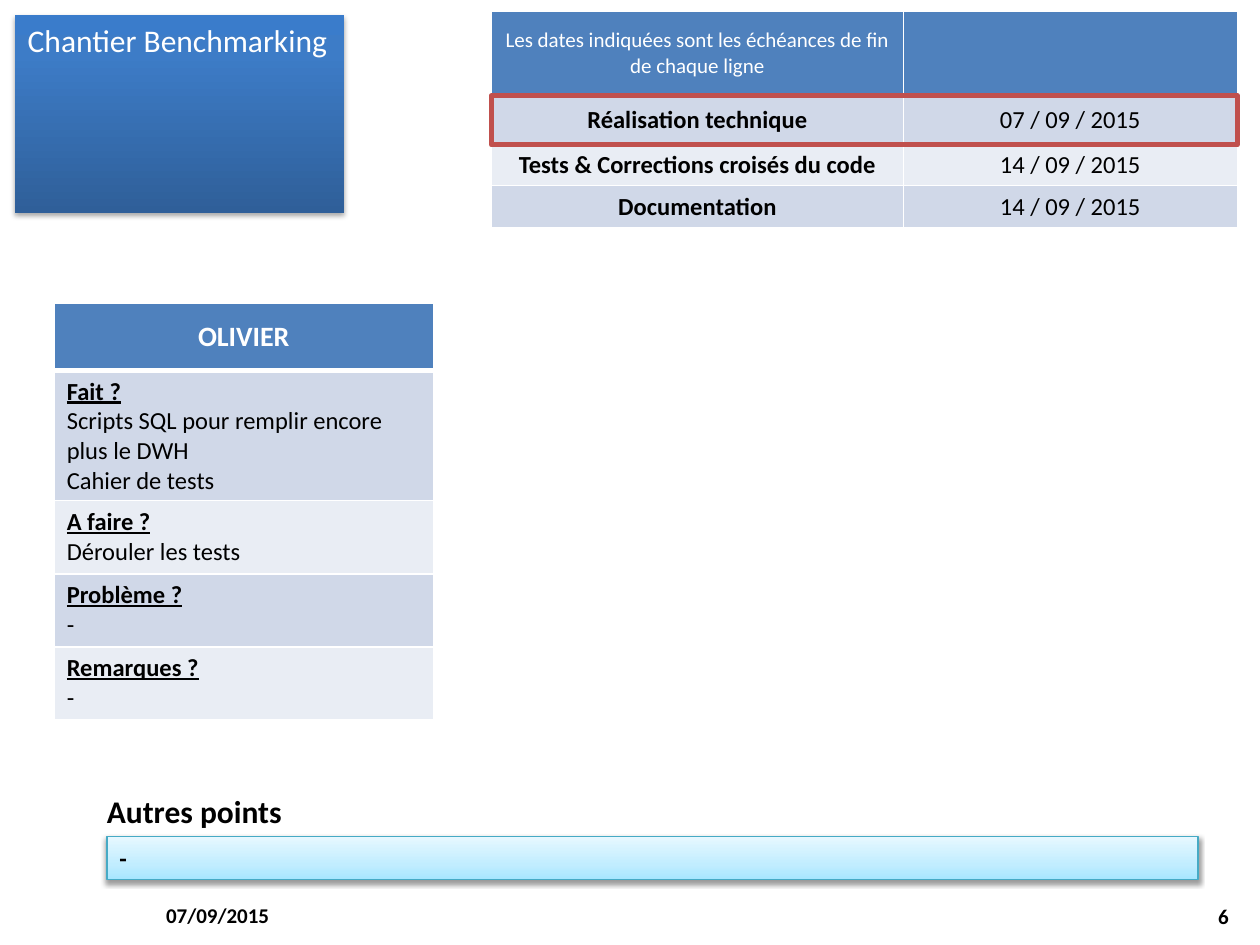
import pptx
import pptx.dml.color
import pptx.enum.shapes
import pptx.enum.text
import pptx.oxml
import pptx.oxml.ns
import pptx.util

Inches = pptx.util.Inches
Pt = pptx.util.Pt
RGBColor = pptx.dml.color.RGBColor
ALIGN = pptx.enum.text.PP_ALIGN
ANCHOR = pptx.enum.text.MSO_ANCHOR
GROW = pptx.enum.text.MSO_AUTO_SIZE.SHAPE_TO_FIT_TEXT

BLACK = RGBColor(0x00, 0x00, 0x00)
WHITE = RGBColor(0xFF, 0xFF, 0xFF)
HEADER = RGBColor(0x4F, 0x81, 0xBD)
BANDS = (RGBColor(0xD0, 0xD8, 0xE8), RGBColor(0xE9, 0xED, 0xF4))
RED = RGBColor(0xC0, 0x50, 0x4D)
TEAL = RGBColor(0x46, 0xAA, 0xC5)
BLUE_STOPS = ((0, RGBColor(0x2F, 0x5F, 0x99)), (80, RGBColor(0x3D, 0x7C, 0xC7)),
              (100, RGBColor(0x3A, 0x7C, 0xCB)))
CYAN_STOPS = ((0, RGBColor(0xA7, 0xE6, 0xFF)), (35, RGBColor(0xC1, 0xED, 0xFF)),
              (100, RGBColor(0xE7, 0xF8, 0xFF)))


def element(xml):
    """Parse one DrawingML element whose root tag has no namespace yet."""
    head, rest = xml.split(" ", 1)
    return pptx.oxml.parse_xml(f"{head} {pptx.oxml.ns.nsdecls('a')} {rest}")


def write(tf, text, size=14, color=BLACK, bold=False, underline=False,
          align=ALIGN.LEFT, font="Calibri", space=0):
    """Add one paragraph, using the first one while it is still empty."""
    p = tf.paragraphs[0] if not tf.text else tf.add_paragraph()
    p.alignment = align
    if space:
        p.space_after = Pt(space)
    r = p.add_run()
    r.text = text
    r.font.name, r.font.size = font, Pt(size)
    r.font.bold, r.font.underline = bold, underline
    r.font.color.rgb = color


class StatusSlide:
    def __init__(self, prs):
        self.s = prs.slides.add_slide(prs.slide_layouts[5])

    def gradient(self, sp, stops, opacity, blur=3.1, dist=1.7):
        """Upward gradient with a soft shadow below."""
        sp.fill.gradient()
        sp.fill.gradient_angle = 90
        gs_lst = sp.fill._fill._gradFill.find(pptx.oxml.ns.qn("a:gsLst"))
        for gs in list(gs_lst):
            gs_lst.remove(gs)
        for pos, color in stops:
            gs_lst.append(element(
                f'<a:gs pos="{pos * 1000}"><a:srgbClr val="{color}"/></a:gs>'))
        sp._element.spPr.append(element(
            f'<a:effectLst ><a:outerShdw blurRad="{Pt(blur)}" dist="{Pt(dist)}" '
            f'dir="5400000" rotWithShape="0"><a:srgbClr val="000000">'
            f'<a:alpha val="{opacity * 1000}"/></a:srgbClr></a:outerShdw></a:effectLst>'))

    def title(self, text, left, top, width, height):
        sp = self.s.shapes.title
        sp.left, sp.top, sp.width, sp.height = map(Inches, (left, top, width, height))
        self.gradient(sp, BLUE_STOPS, 35)
        tf = sp.text_frame
        tf.word_wrap, tf.auto_size = False, GROW
        tf.vertical_anchor = ANCHOR.TOP
        write(tf, text, size=18, color=WHITE)

    def label(self, text, left, top, width, height, anchor=ANCHOR.MIDDLE, wrap=True, **fmt):
        box = self.s.shapes.add_textbox(*map(Inches, (left, top, width, height)))
        tf = box.text_frame
        tf.word_wrap, tf.vertical_anchor = wrap, anchor
        write(tf, text, bold=True, **fmt)

    def rect(self, left, top, width, height, line, weight):
        sp = self.s.shapes.add_shape(pptx.enum.shapes.MSO_SHAPE.RECTANGLE,
                                     *map(Inches, (left, top, width, height)))
        sp.line.color.rgb, sp.line.width = line, Pt(weight)
        return sp

    def note(self, text, *at):
        sp = self.rect(*at, TEAL, 0.75)
        self.gradient(sp, CYAN_STOPS, 38)
        tf = sp.text_frame
        tf.word_wrap, tf.auto_size = True, GROW
        tf.vertical_anchor = ANCHOR.TOP
        write(tf, text, bold=True)

    def highlight(self, *at):
        sp = self.rect(*at, RED, 3)
        sp.fill.background()
        sp.shadow.inherit = False

    def table(self, left, top, cols, rows):
        size = map(Inches, (left, top, sum(cols), sum(rows)))
        table = self.s.shapes.add_table(len(rows), len(cols), *size).table
        for col, width in zip(table.columns, cols):
            col.width = Inches(width)
        for i, height in enumerate(rows):
            table.rows[i].height = Inches(height)
            for cell in table.rows[i].cells:
                self.cell_style(cell, i)
        return table

    def cell_style(self, cell, row):
        """White borders, thicker under the header, and banded fills."""
        tc_pr = cell._tc.get_or_add_tcPr()
        thick = {0: "B", 1: "T"}.get(row)
        for side in "LRTB":
            width = Pt(3 if side == thick else 1)
            tc_pr.append(element(
                f'<a:ln{side} w="{width}"><a:solidFill><a:srgbClr val="{WHITE}"/>'
                f'</a:solidFill></a:ln{side}>'))
        cell.fill.solid()
        cell.fill.fore_color.rgb = BANDS[(row - 1) % 2] if row else HEADER
        cell.vertical_anchor = ANCHOR.MIDDLE


def main():
    prs = pptx.Presentation()
    prs.slide_width, prs.slide_height = Inches(10), Inches(7.5)
    slide = StatusSlide(prs)

    # Footer and title
    slide.label("07/09/2015", 1.22, 7.06, 2.33, 0.4, size=12)
    slide.label("6", 7.52, 7.07, 2.33, 0.4, size=12, align=ALIGN.RIGHT)
    slide.title("Chantier Benchmarking", 0.12, 0.12, 2.61, 0.4)

    # Personal status
    sections = (
        ("Fait ?", "Scripts SQL pour remplir encore plus le DWH", "Cahier de tests"),
        ("A faire ?", "Dérouler les tests"),
        ("Problème ?", "-"),
        ("Remarques ?", "-"),
    )
    table = slide.table(0.43, 2.41, [3.01], [0.53, 1.03] + [0.58] * 3)
    write(table.cell(0, 0).text_frame, "OLIVIER", size=16, color=WHITE,
          bold=True, align=ALIGN.CENTER)
    for i, (heading, *items) in enumerate(sections, 1):
        cell = table.cell(i, 0)
        cell.vertical_anchor = ANCHOR.TOP
        write(cell.text_frame, heading, bold=True, underline=True)
        for item in items:
            write(cell.text_frame, item)

    # Other points
    slide.note("-", 0.85, 6.64, 8.66, 0.34)
    slide.label("Autres points", 0.75, 6.24, 1.6, 0.4, anchor=ANCHOR.TOP,
                wrap=False, size=18, space=3)

    # Deadlines, with the current step framed
    deadlines = (
        ("Réalisation technique", "07 / 09 / 2015"),
        ("Tests & Corrections croisés du code", "14 / 09 / 2015"),
        ("Documentation", "14 / 09 / 2015"),
    )
    table = slide.table(3.9, 0.09, [3.27, 2.65], [0.67, 0.38, 0.33, 0.33])
    write(table.cell(0, 0).text_frame,
          "Les dates indiquées sont les échéances de fin de chaque ligne",
          size=12, color=WHITE, align=ALIGN.CENTER)
    for i, (step, date) in enumerate(deadlines, 1):
        write(table.cell(i, 0).text_frame, step, bold=True, align=ALIGN.CENTER)
        write(table.cell(i, 1).text_frame, date, align=ALIGN.CENTER)
    slide.highlight(3.9, 0.76, 5.92, 0.39)

    prs.save("out.pptx")


if __name__ == "__main__":
    main()
